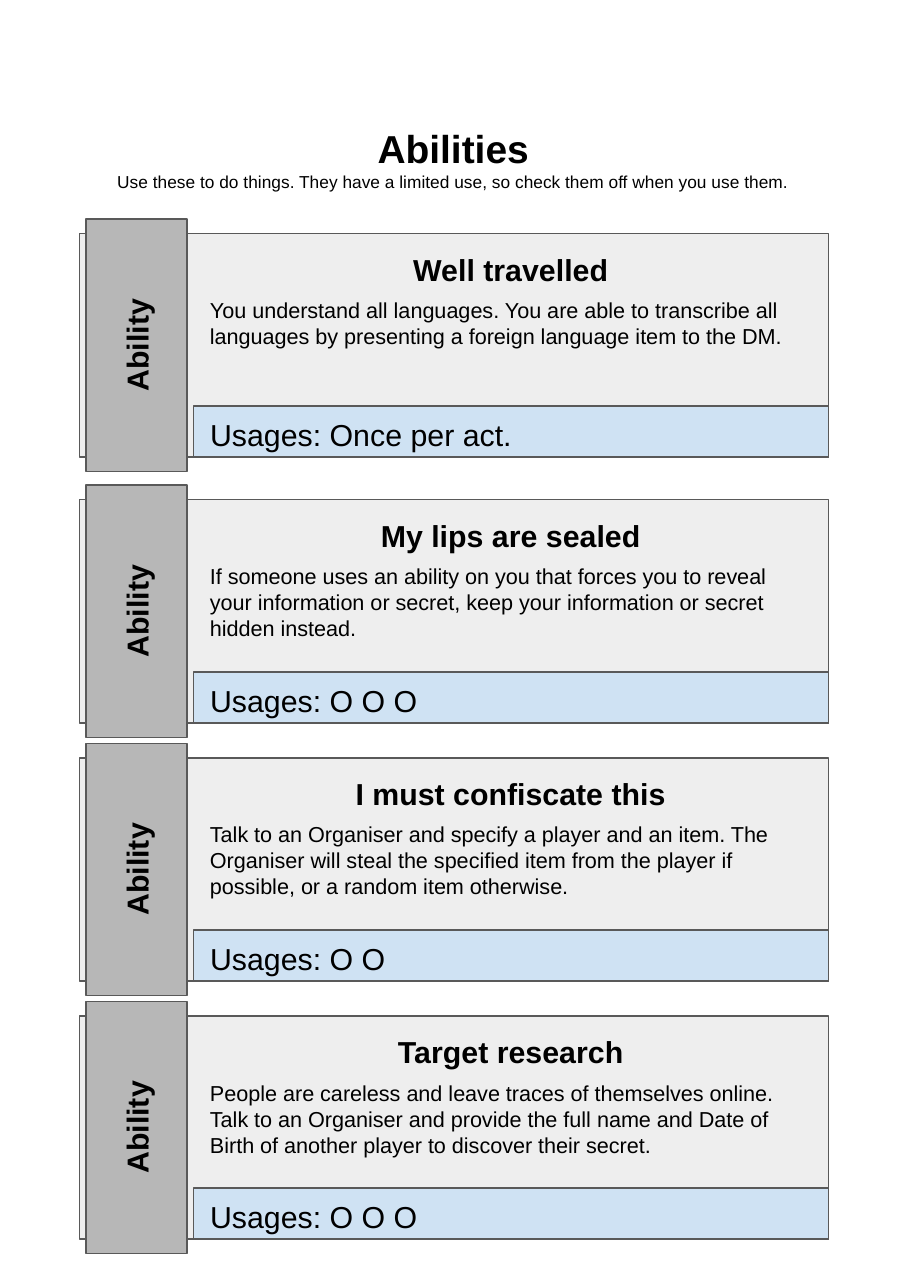
from dataclasses import dataclass

from pptx import Presentation
from pptx.dml.color import RGBColor as Color
from pptx.enum.shapes import MSO_SHAPE as Preset
from pptx.enum.text import MSO_ANCHOR as Anchor, PP_ALIGN as Align
from pptx.util import Pt


@dataclass(frozen=True)
class Theme:
    font: str = "Arial"
    ink: Color = Color(0x00, 0x00, 0x00)
    outline: Color = Color(0x59, 0x59, 0x59)
    card: Color = Color(0xEE, 0xEE, 0xEE)
    tab: Color = Color(0xB7, 0xB7, 0xB7)
    strip: Color = Color(0xCF, 0xE2, 0xF3)
    title: int = 18
    heading: int = 14
    body: int = 10
    note: int = 8


THEME = Theme()

ABILITIES = [
    (108, "Well travelled",
     "You understand all languages. You are able to transcribe all languages "
     "by presenting a foreign language item to the DM.",
     "Usages: Once per act."),
    (231, "My lips are sealed",
     "If someone uses an ability on you that forces you to reveal your "
     "information or secret, keep your information or secret hidden instead.",
     "Usages: O O O"),
    (350.3, "I must confiscate this",
     "Talk to an Organiser and specify a player and an item. The Organiser "
     "will steal the specified item from the player if possible, or a random "
     "item otherwise.",
     "Usages: O O"),
    (469.6, "Target research",
     "People are careless and leave traces of themselves online. Talk to an "
     "Organiser and provide the full name and Date of Birth of another player "
     "to discover their secret.",
     "Usages: O O O"),
]


def write(para, text, size, bold=False, align=Align.LEFT):
    para.text = text
    para.alignment = align
    para.font.name = THEME.font
    para.font.size = Pt(size)
    para.font.bold = bold
    para.font.color.rgb = THEME.ink


def add_text(page, left, top, width, height, *lines):
    box = page.shapes.add_textbox(Pt(left), Pt(top), Pt(width), Pt(height))
    frame = box.text_frame
    frame.word_wrap = True
    frame.margin_top = frame.margin_bottom = Pt(7.2)
    for index, line in enumerate(lines):
        para = frame.add_paragraph() if index else frame.paragraphs[0]
        write(para, *line)


def add_panel(page, left, top, width, height, fill):
    panel = page.shapes.add_shape(
        Preset.RECTANGLE, Pt(left), Pt(top), Pt(width), Pt(height))
    panel.shadow.inherit = False
    panel.fill.solid()
    panel.fill.fore_color.rgb = fill
    panel.line.color.rgb = THEME.outline
    panel.line.width = Pt(0.75)
    return panel


def add_ability(page, top, name, effect, usages):
    add_panel(page, 36.8, top, 346.3, 103.2, THEME.card)

    tab = add_panel(page, 4.8, top + 28.2, 116.6, 46.8, THEME.tab)
    tab.rotation = 270
    tab.text_frame.vertical_anchor = Anchor.MIDDLE
    write(tab.text_frame.paragraphs[0], "Ability", THEME.heading, True, Align.CENTER)

    add_text(page, 90, top + 0.7, 292.3, 30.2,
             (name, THEME.heading, True, Align.CENTER))
    add_text(page, 90, top + 22.2, 292.3, 54, (effect, THEME.body))
    add_panel(page, 89.5, top + 79.7, 293.6, 23.5, THEME.strip)
    add_text(page, 90, top + 77, 286.6, 30.2, (usages, THEME.heading))


def main():
    """Build the page of ability cards."""
    deck = Presentation()
    deck.slide_width, deck.slide_height = Pt(419.76), Pt(595.44)
    page = deck.slides.add_slide(deck.slide_layouts[6])
    add_text(page, 16.6, 50.4, 385.9, 65.5,
             ("Abilities", THEME.title, True, Align.CENTER),
             ("Use these to do things. They have a limited use, "
              "so check them off when you use them.",
              THEME.note, False, Align.CENTER))
    for ability in ABILITIES:
        add_ability(page, *ability)
    deck.save("out.pptx")


if __name__ == "__main__":
    main()
